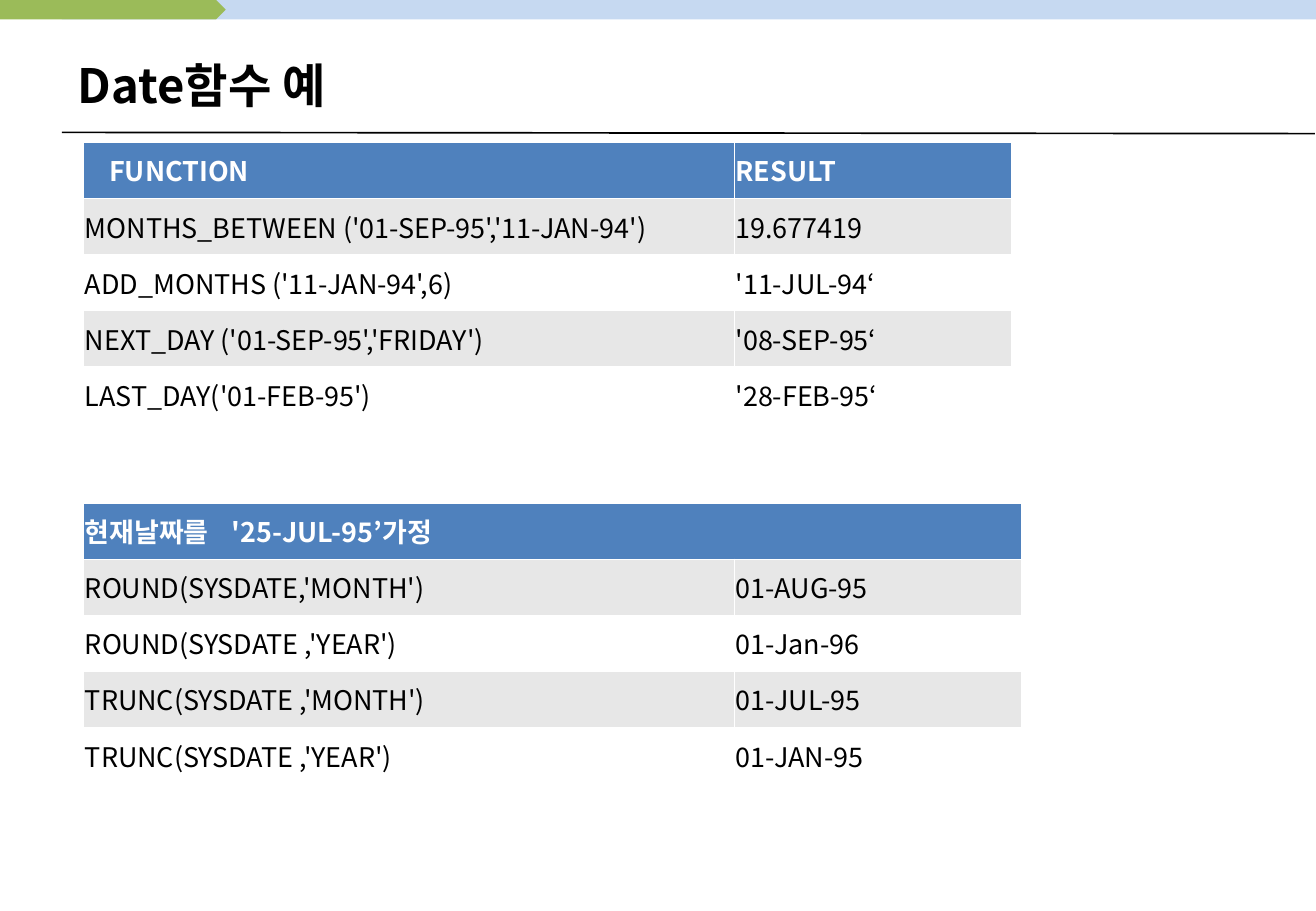
import dataclasses

import lxml.etree
import pptx
import pptx.dml.color
import pptx.dml.fill
import pptx.enum.shapes
import pptx.enum.text
import pptx.oxml.ns
import pptx.shapes.autoshape
import pptx.slide
import pptx.table
import pptx.text.text
import pptx.util

Inches = pptx.util.Inches
FONT = "Noto Sans CJK KR"
BLACK = "000000"
WHITE = "FFFFFF"
BLUE = "4F81BD"
GREY = "E7E7E7"
SKY = "C6D9F1"
GREEN = "9BBB59"
ROW = 0.462


@dataclasses.dataclass
class Grid:
    top: float
    cols: tuple[float, float]
    head: tuple[str, ...]
    rows: list[tuple[str, str]]
    indent: float = 0
    tab: float = 0


GRIDS = [
    Grid(1.17, (5.36, 2.28), ("FUNCTION", "RESULT"), [
        ("MONTHS_BETWEEN ('01-SEP-95','11-JAN-94')", "19.677419"),
        ("ADD_MONTHS ('11-JAN-94',6)", "'11-JUL-94‘"),
        ("NEXT_DAY ('01-SEP-95','FRIDAY')", "'08-SEP-95‘"),
        ("LAST_DAY('01-FEB-95')", "'28-FEB-95‘"),
    ], indent=0.2),
    Grid(4.14, (5.36, 2.36), ("현재날짜를\t'25-JUL-95’가정",), [
        ("ROUND(SYSDATE,'MONTH')", "01-AUG-95"),
        ("ROUND(SYSDATE ,'YEAR')", "01-Jan-96"),
        ("TRUNC(SYSDATE ,'MONTH')", "01-JUL-95"),
        ("TRUNC(SYSDATE ,'YEAR')", "01-JAN-95"),
    ], tab=1.21),
]


def node(root: lxml.etree._Element, tag: str, **attrs: str) -> lxml.etree._Element:
    return lxml.etree.SubElement(root, pptx.oxml.ns.qn(tag), **attrs)


def tint(code: str) -> pptx.dml.color.RGBColor:
    return pptx.dml.color.RGBColor.from_string(code)


def paint(fill: pptx.dml.fill.FillFormat, code: str) -> None:
    fill.solid()
    fill.fore_color.rgb = tint(code)


def write(para: pptx.text.text._Paragraph, text: str, size: int, code: str, bold: bool) -> None:
    para.alignment = pptx.enum.text.PP_ALIGN.LEFT
    run = para.add_run()
    run.text = text
    run.font.size = pptx.util.Pt(size)
    run.font.bold = bold
    run.font.color.rgb = tint(code)
    run.font.name = FONT
    node(run.font._element, "a:ea", typeface=FONT)


def style(shape: pptx.shapes.autoshape.Shape, code: str) -> None:
    shape.shadow.inherit = False
    paint(shape.fill, code)
    shape.line.fill.background()


def draw_band(slide: pptx.slide.Slide) -> None:
    kind = pptx.enum.shapes.MSO_SHAPE.RECTANGLE
    bar = slide.shapes.add_shape(kind, Inches(0.51), 0, Inches(10.33), Inches(0.16))
    style(bar, SKY)
    path = slide.shapes.build_freeform(0, 0, scale=Inches(0.01))
    path.add_line_segments([(178, 0), (186, 8), (178, 16), (0, 16)], close=True)
    style(path.convert_to_shape(), GREEN)
    rule = slide.shapes.add_connector(
        pptx.enum.shapes.MSO_CONNECTOR.STRAIGHT,
        Inches(0.51), Inches(1.09), Inches(10.83), Inches(1.1))
    rule.line.color.rgb = tint(BLACK)
    rule.line.width = pptx.util.Pt(1)
    node(rule._element.spPr, "a:effectLst")


def draw_title(slide: pptx.slide.Slide) -> None:
    title = slide.shapes.title
    title.left, title.top = Inches(0.54), Inches(0.3)
    title.width, title.height = Inches(10.12), Inches(0.79)
    title.text_frame.vertical_anchor = pptx.enum.text.MSO_ANCHOR.MIDDLE
    write(title.text_frame.paragraphs[0], "Date함수 예", 28, BLACK, True)


def dress(cell: pptx.table._Cell, code: str) -> None:
    cell.margin_left = cell.margin_right = Inches(0.01)
    cell.margin_top = cell.margin_bottom = Inches(0.05)
    cell.vertical_anchor = pptx.enum.text.MSO_ANCHOR.MIDDLE
    props = cell._tc.get_or_add_tcPr()
    for side in "LRTB":
        edge = node(props, f"a:ln{side}", w=str(pptx.util.Pt(0.45)))
        node(node(edge, "a:solidFill"), "a:srgbClr", val=WHITE)
    paint(cell.fill, code)


def draw_grid(slide: pptx.slide.Slide, grid: Grid) -> None:
    lines = [grid.head, *grid.rows]
    count = len(lines)
    table = slide.shapes.add_table(
        count, 2, Inches(0.69), Inches(grid.top),
        Inches(sum(grid.cols)), Inches(ROW * count)).table
    for col, width in zip(table.columns, grid.cols):
        col.width = Inches(width)
    for r, line in enumerate(lines):
        table.rows[r].height = Inches(ROW)
        for c in range(2):
            dress(table.cell(r, c), BLUE if r == 0 else GREY if r % 2 else WHITE)
        for c, text in enumerate(line):
            para = table.cell(r, c).text_frame.paragraphs[0]
            write(para, text, 16, BLACK if r else WHITE, r == 0)
    if len(grid.head) == 1:
        table.cell(0, 0).merge(table.cell(0, 1))
    props = table.cell(0, 0).text_frame.paragraphs[0]._p.get_or_add_pPr()
    if grid.indent:
        props.set("marL", str(Inches(grid.indent)))
    if grid.tab:
        node(node(props, "a:tabLst"), "a:tab", pos=str(Inches(grid.tab)), algn="l")


def main() -> None:
    deck = pptx.Presentation()
    deck.slide_width, deck.slide_height = Inches(10.84), Inches(7.5)
    slide = deck.slides.add_slide(deck.slide_layouts[5])
    paint(slide.background.fill, WHITE)
    draw_band(slide)
    draw_title(slide)
    for grid in GRIDS:
        draw_grid(slide, grid)
    deck.save("out.pptx")


if __name__ == "__main__":
    main()
